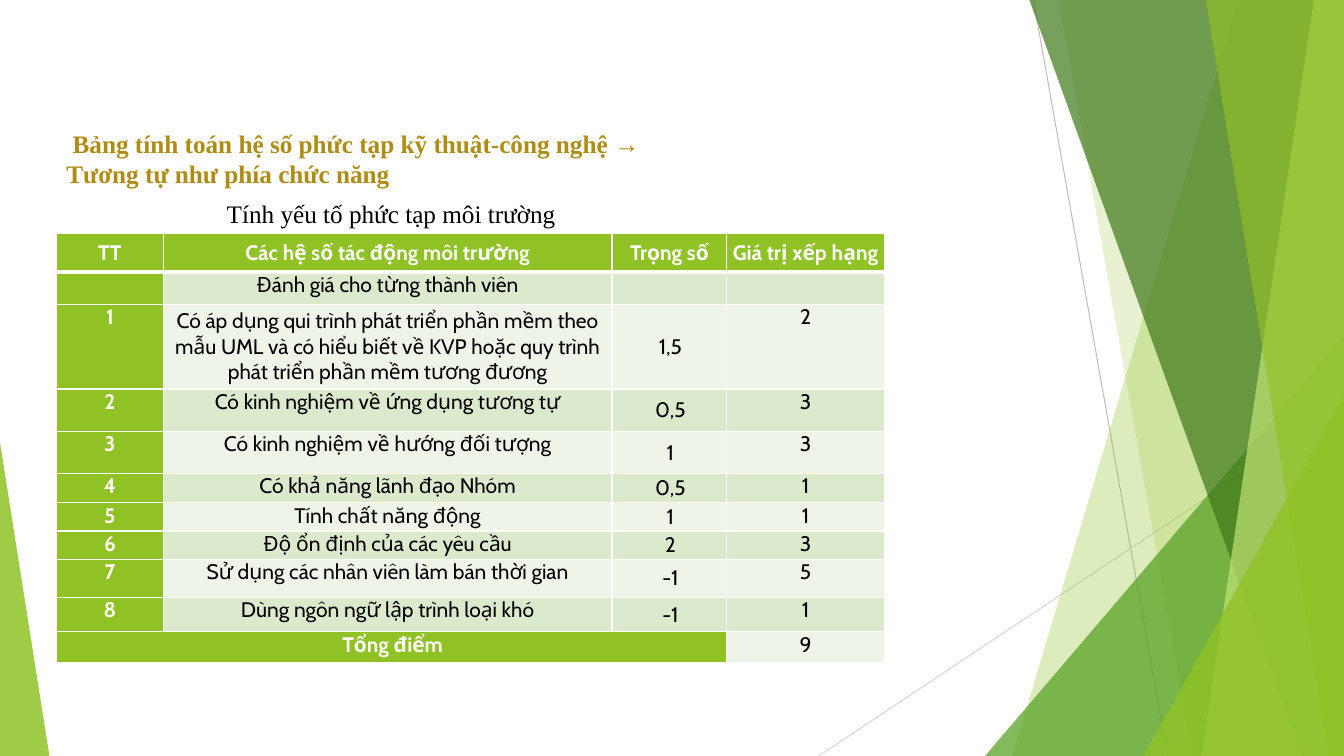
from lxml.etree import SubElement as Sub
from pptx import Presentation
from pptx.dml.color import RGBColor
from pptx.enum.shapes import MSO_CONNECTOR as Conn, MSO_SHAPE as Shape
from pptx.enum.text import MSO_ANCHOR as Anchor, PP_ALIGN as Align
from pptx.oxml import parse_xml
from pptx.oxml.ns import nsdecls, qn
from pptx.util import Inches, Pt

GREEN, WHITE, BLACK = "90C226", "FFFFFF", "000000"
BANDS = ("EEF4E8", "DBE9CD")
SERIF = "Times New Roman"

# Facets from back to front: kind, left x at top (or top y), left x at bottom
FACETS = [
    ("quad", 4.28, 2.04, GREEN, 30),
    ("quad", 2.5, 3.83, GREEN, 20),
    ("wedge", 3.33, 1.77, "54A021", 72),
    ("quad", 2.21, 4.91, "3F7819", 70),
    ("quad", 5.03, 3.92, "C0E474", 70),
    ("quad", 3.96, 5.18, GREEN, 65),
    ("wedge", 3.93, 3.34, GREEN, 80),
]

HEAD = ["TT", "Các hệ số tác động môi trường", "Trọng số", "Giá trị xếp hạng"]
FACTORS = [
    ("Có áp dụng qui trình phát triển phần mềm theo mẫu UML và có hiểu biết "
     "về KVP hoặc quy trình phát triển phần mềm tương đương", "1,5", "2"),
    ("Có kinh nghiệm về ứng dụng tương tự", "0,5", "3"),
    ("Có kinh nghiệm về hướng đối tượng", "1", "3"),
    ("Có khả năng lãnh đạo Nhóm", "0,5", "1"),
    ("Tính chất năng động", "1", "1"),
    ("Độ ổn định của các yêu cầu", "2", "3"),
    ("Sử dụng các nhân viên làm bán thời gian", "-1", "5"),
    ("Dùng ngôn ngữ lập trình loại khó", "-1", "1"),
]
ROWS = [HEAD, ["", "Đánh giá cho từng thành viên", "", ""]]
ROWS += [[str(n), *factor] for n, factor in enumerate(FACTORS, 1)]
ROWS += [["Tổng điểm", "", "", "9"]]
WIDTHS = [1.06, 4.45, 1.14, 1.56]
HEIGHTS = [0.38, 0.32, 0.84, 0.42, 0.42, 0.29, 0.28, 0.28, 0.38, 0.34, 0.31]


def color(text):
    return RGBColor.from_string(text)


def paint(shape, fill, alpha):
    shape.shadow.inherit = False
    shape.line.fill.background()
    shape.fill.solid()
    shape.fill.fore_color.rgb = color(fill)
    tint = shape.fill._xPr.find(qn("a:solidFill"))[0]
    Sub(tint, qn("a:alpha")).set("val", str(alpha * 1000))


def wedge(shapes, box, apex, fill, alpha):
    shape = shapes.add_shape(Shape.ISOSCELES_TRIANGLE, *map(Inches, box))
    shape.adjustments[0] = apex
    paint(shape, fill, alpha)


def quad(shapes, points, fill, alpha):
    first, *rest = [(Inches(x), Inches(y)) for x, y in points]
    pen = shapes.build_freeform(*first)
    pen.add_line_segments(rest, close=True)
    paint(pen.convert_to_shape(), fill, alpha)


def line(shapes, start, end, stroke):
    rule = shapes.add_connector(Conn.STRAIGHT, *map(Inches, start + end))
    rule.line.color.rgb = color(stroke)
    rule.line.width = Pt(0.75)
    Sub(rule._element.spPr, qn("a:effectLst"))


def facets(shapes, left, top, width, height):
    right, base = left + width, top + height
    line(shapes, (left + 2.25, top), (left + 3.58, base), "BFBFBF")
    line(shapes, (right, top + 4.03), (left + 0.12, base), "D9D9D9")
    for kind, start, foot, fill, alpha in FACETS:
        if kind == "quad":
            points = [(left + start, top), (right, top),
                      (right, base), (left + foot, base)]
            quad(shapes, points, fill, alpha)
        else:
            box = (left + foot, top + start, width - foot, height - start)
            wedge(shapes, box, 1, fill, alpha)


def indent(para, inches):
    para._p.get_or_add_pPr().set("marL", str(Inches(inches)))


def style(para, name, size, ink, bold=False):
    font = para.font
    font.name, font.size, font.bold = name, Pt(size), bold
    font.color.rgb = color(ink)


def label(shapes, box, text, ink, bold=False, inset=0.1, shift=0):
    frame = shapes.add_textbox(*map(Inches, box)).text_frame
    frame.word_wrap = True
    frame.margin_right = Inches(inset)
    para = frame.paragraphs[0]
    para.text = text
    indent(para, shift)
    style(para, SERIF, 18, ink, bold)


def border(cell, row):
    props = cell._tc.get_or_add_tcPr()
    thick = {(0, "B"), (1, "T")}
    for spot, side in enumerate("LRTB"):
        width = Pt(3 if (row, side) in thick else 1)
        props.insert(spot, parse_xml(
            f'<a:ln{side} {nsdecls("a")} w="{width}"><a:solidFill>'
            f'<a:srgbClr val="{WHITE}"/></a:solidFill></a:ln{side}>'))


def fill_cell(cell, text, row, col):
    last = len(ROWS) - 1
    strong = row == 0 or col == 0 or (row == last and col < 3)
    cell.margin_left = cell.margin_right = Inches(0.05)
    cell.margin_top = cell.margin_bottom = 0
    factor = 1 < row < last
    if row == 0 or (factor and col == 2) or (row, col) == (2, 1):
        cell.vertical_anchor = Anchor.MIDDLE
    cell.fill.solid()
    cell.fill.fore_color.rgb = color(GREEN if strong else BANDS[row % 2])
    border(cell, row)
    para = cell.text_frame.paragraphs[0]
    para.text = text
    para.alignment = Align.CENTER
    if (factor and col == 2) or (row, col) == (last, 0):
        indent(para, 0.02)
    style(para, "Cabin", 15, WHITE if strong else BLACK, strong)


def scores(shapes, left, top):
    box = (left, top, sum(WIDTHS), sum(HEIGHTS))
    table = shapes.add_table(len(ROWS), len(HEAD), *map(Inches, box)).table
    for col, width in zip(table.columns, WIDTHS):
        col.width = Inches(width)
    for row, height in zip(table.rows, HEIGHTS):
        row.height = Inches(height)
    for row, texts in enumerate(ROWS):
        for col, text in enumerate(texts):
            fill_cell(table.cell(row, col), text, row, col)
    last = len(ROWS) - 1
    table.cell(last, 0).merge(table.cell(last, 2))


def main():
    deck = Presentation()
    deck.slide_width, deck.slide_height = Inches(13.33), Inches(7.5)
    shapes = deck.slides.add_slide(deck.slide_layouts[6]).shapes
    # Side decoration
    facets(shapes, 8, 0, 5.33, 7.5)
    wedge(shapes, (0, 4.39, 0.49, 3.11), 0, GREEN, 85)
    # Heading, table and its caption
    label(shapes, (0.56, 1.22, 6.68, 0.71),
          " Bảng tính toán hệ số phức tạp kỹ thuật-công nghệ → "
          "Tương tự như phía chức năng", "AF8C14", bold=True, inset=0.3)
    scores(shapes, 0.56, 2.32)
    label(shapes, (1.65, 1.92, 6.68, 0.4),
          "Tính yếu tố phức tạp môi trường", BLACK, shift=0.5)
    deck.save("out.pptx")


if __name__ == "__main__":
    main()
